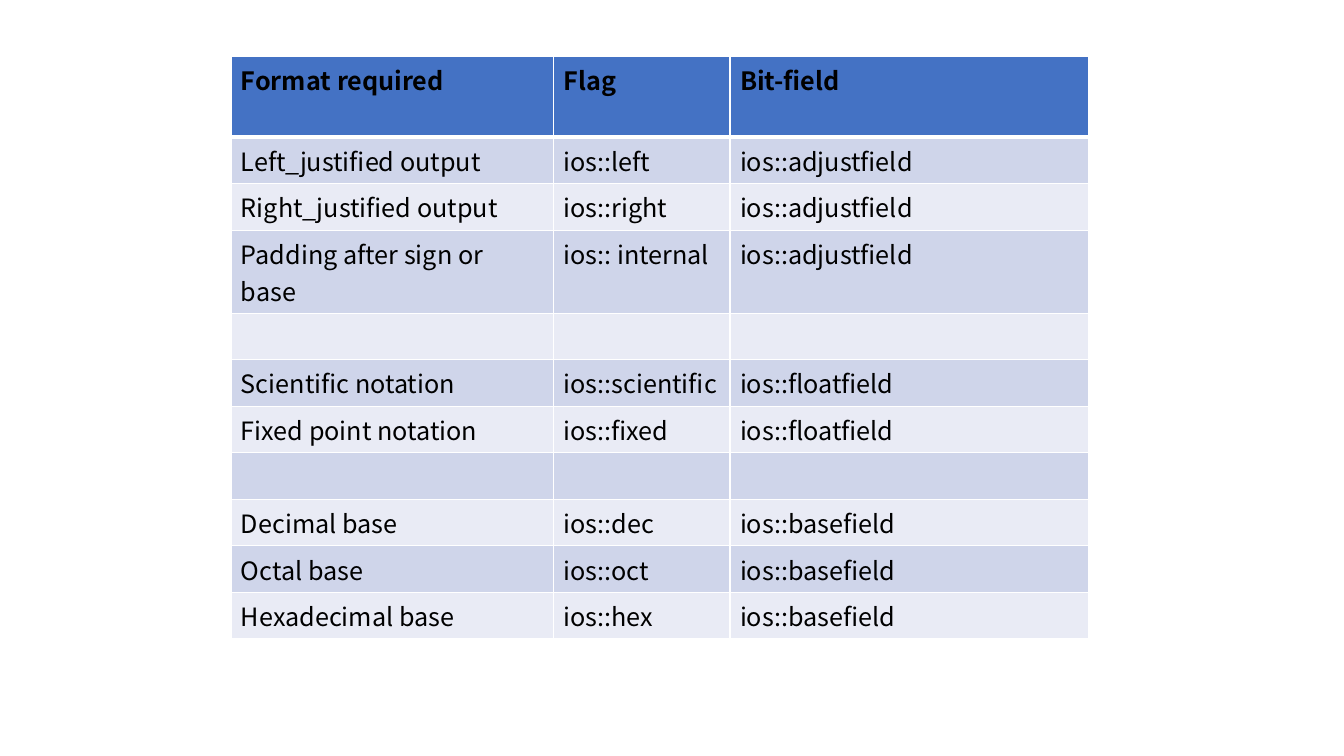
import lxml.etree
import pptx
import pptx.dml.color
import pptx.oxml.ns
import pptx.util

Inches = pptx.util.Inches
Pt = pptx.util.Pt

FONT = "Noto Sans CJK SC"
HEADER_FILL = "4472C4"
BAND_FILLS = ["E9EBF5", "CFD5EA"]
COLUMN_WIDTHS = [3.2, 1.75, 3.56]
HEADER_HEIGHT, ROW_HEIGHT, WRAPPED_HEIGHT = 0.8, 0.46, 0.82
WRAPPED_ROW = 3
FORMAT_FLAGS = [
    ("Format required", "Flag", "Bit-field"),
    ("Left_justified output", "ios::left", "ios::adjustfield"),
    ("Right_justified output", "ios::right", "ios::adjustfield"),
    ("Padding after sign or base", "ios:: internal", "ios::adjustfield"),
    ("", "", ""),
    ("Scientific notation", "ios::scientific", "ios::floatfield"),
    ("Fixed point notation", "ios::fixed", "ios::floatfield"),
    ("", "", ""),
    ("Decimal base", "ios::dec", "ios::basefield"),
    ("Octal base", "ios::oct", "ios::basefield"),
    ("Hexadecimal base", "ios::hex", "ios::basefield"),
]


def rgb(hex_colour):
    """Return the colour object for a hex string."""
    return pptx.dml.color.RGBColor.from_string(hex_colour)


def add_border(cell, side, width):
    """Draw one white border of a cell, width in points."""
    qn = pptx.oxml.ns.qn
    properties = cell._tc.get_or_add_tcPr()
    line = lxml.etree.SubElement(properties, qn(f"a:ln{side}"), w=str(Pt(width)))
    fill = lxml.etree.SubElement(line, qn("a:solidFill"))
    lxml.etree.SubElement(fill, qn("a:srgbClr"), val="FFFFFF")


def format_cell(cell, text, row_index):
    """Fill a cell with its text, borders and band colour."""
    is_header = row_index == 0
    for side in "LRTB":
        under_header = (row_index, side) in [(0, "B"), (1, "T")]
        add_border(cell, side, 3 if under_header else 1)
    cell.fill.solid()
    cell.fill.fore_color.rgb = rgb(HEADER_FILL if is_header else BAND_FILLS[row_index % 2])
    cell.text_frame.text = text
    for run in cell.text_frame.paragraphs[0].runs:
        run.font.name = FONT
        run.font.size = Pt(18)
        run.font.bold = is_header
        run.font.color.rgb = rgb("000000")


def row_height(row_index):
    """Return the height of a row in inches."""
    return {0: HEADER_HEIGHT, WRAPPED_ROW: WRAPPED_HEIGHT}.get(row_index, ROW_HEIGHT)


def add_flag_table(slide):
    """Add the table of format flags and their bit-fields."""
    heights = [row_height(index) for index in range(len(FORMAT_FLAGS))]
    flag_table = slide.shapes.add_table(
        len(heights), len(COLUMN_WIDTHS), Inches(2.29), Inches(0.56),
        Inches(sum(COLUMN_WIDTHS)), Inches(sum(heights))).table
    for column, width in zip(flag_table.columns, COLUMN_WIDTHS):
        column.width = Inches(width)
    for row_index, texts in enumerate(FORMAT_FLAGS):
        flag_table.rows[row_index].height = Inches(heights[row_index])
        for cell, text in zip(flag_table.rows[row_index].cells, texts):
            format_cell(cell, text, row_index)


def main():
    """Build the slide and save it."""
    presentation = pptx.Presentation()
    presentation.slide_width = Inches(13.33)
    presentation.slide_height = Inches(7.5)
    slide = presentation.slides.add_slide(presentation.slide_layouts[6])
    add_flag_table(slide)
    presentation.save("out.pptx")


if __name__ == "__main__":
    main()
